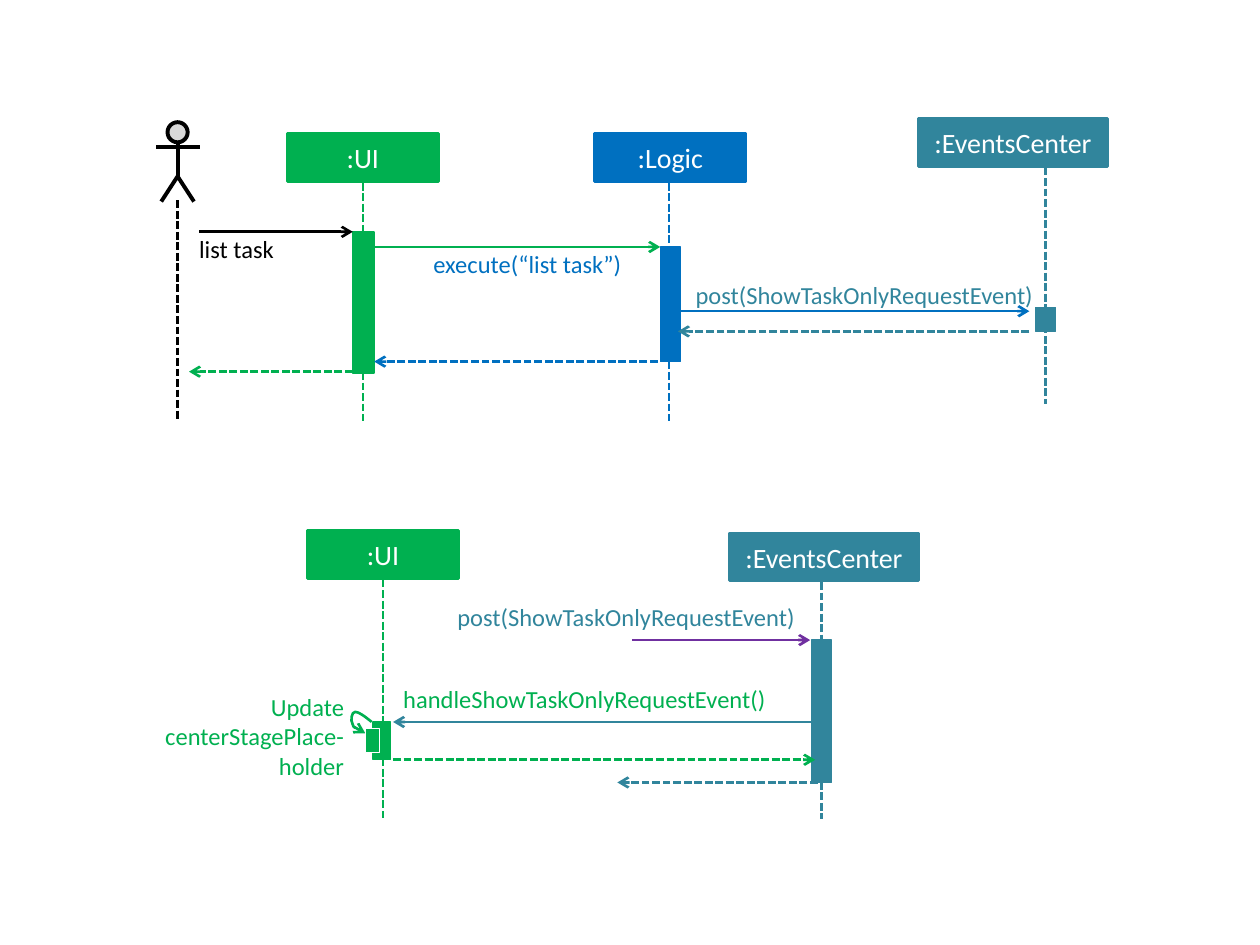
import pptx
import pptx.dml.color
import pptx.enum.dml
import pptx.enum.shapes
import pptx.enum.text
import pptx.oxml
import pptx.oxml.ns
import pptx.util
from pptx.util import Inches

GREEN, BLUE, TEAL, PURPLE = "00B050", "0070C0", "31859C", "7030A0"
BLACK, GREY, WHITE = "000000", "D9D9D9", "FFFFFF"
LEFT, CENTER, RIGHT = (pptx.enum.text.PP_ALIGN.LEFT, pptx.enum.text.PP_ALIGN.CENTER,
                       pptx.enum.text.PP_ALIGN.RIGHT)
RECT = pptx.enum.shapes.MSO_SHAPE.RECTANGLE
CIRCLE = pptx.enum.shapes.MSO_SHAPE.FLOWCHART_CONNECTOR
HEADER_HEIGHT = 0.38
DRAWING_NS = pptx.oxml.ns.nsdecls("a")


def rgb(color):
    return pptx.dml.color.RGBColor.from_string(color)


def style_line(line, color, width, dashed=False, arrow=False):
    line.color.rgb = rgb(color)
    line.width = pptx.util.Pt(width)
    if dashed:
        line.dash_style = pptx.enum.dml.MSO_LINE.SQUARE_DOT
    if arrow:
        tip = pptx.oxml.parse_xml(f'<a:tailEnd {DRAWING_NS} type="arrow"/>')
        line.fill  # the line properties exist once a colour is set
        line._get_or_add_ln().append(tip)


def write(frame, text, size=14, color=BLACK, align=LEFT):
    frame.word_wrap = True
    paragraph = frame.paragraphs[0]
    paragraph.alignment = align
    run = paragraph.add_run()
    run.text = text
    run.font.name = "Calibri"
    run.font.size = pptx.util.Pt(size)
    run.font.color.rgb = rgb(color)


def block(shapes, left, top, width, height, fill, border=None, weight=0.75, kind=RECT):
    shape = shapes.add_shape(kind, Inches(left), Inches(top), Inches(width), Inches(height))
    shape.shadow.inherit = False
    shape.fill.solid()
    shape.fill.fore_color.rgb = rgb(fill)
    style_line(shape.line, border or fill, weight)
    return shape


def stroke(shapes, x1, y1, x2, y2, color, width=1.5, dashed=False, arrow=False):
    connector = shapes.add_connector(pptx.enum.shapes.MSO_CONNECTOR.STRAIGHT,
                                     Inches(x1), Inches(y1), Inches(x2), Inches(y2))
    style_line(connector.line, color, width, dashed, arrow)
    connector._element.spPr.append(pptx.oxml.parse_xml(f"<a:effectLst {DRAWING_NS}/>"))


def outline(shapes, points, color, width, arrow=False):
    start, *rest = [(Inches(x), Inches(y)) for x, y in points]
    builder = shapes.build_freeform(*start)
    builder.add_line_segments(rest, close=False)
    shape = builder.convert_to_shape()
    shape.shadow.inherit = False
    shape.fill.background()
    style_line(shape.line, color, width, arrow=arrow)
    return shape


def curve(shapes, points, color, width):
    """Draw a start point and groups of three Bezier points, ending in an arrow."""
    shape = outline(shapes, points, color, width, arrow=True)
    segments = shape._element.findall(".//" + pptx.oxml.ns.qn("a:lnTo"))
    for first in range(0, len(segments), 3):
        bezier = pptx.oxml.parse_xml(f"<a:cubicBezTo {DRAWING_NS}/>")
        segments[first].addprevious(bezier)
        for segment in segments[first:first + 3]:
            bezier.append(segment[0])
            segment.getparent().remove(segment)


def message(shapes, x, y, start, tip, level, color, dashed=False):
    stroke(shapes, x + start, y + level, x + tip, y + level, color, dashed=dashed, arrow=True)


def label(shapes, left, top, width, text, color, height=0.24, align=LEFT):
    box = shapes.add_textbox(Inches(left), Inches(top), Inches(width), Inches(height))
    frame = box.text_frame
    frame.margin_left = frame.margin_right = frame.margin_top = frame.margin_bottom = 0
    write(frame, text, color=color, align=align)
    frame.auto_size = pptx.enum.text.MSO_AUTO_SIZE.SHAPE_TO_FIT_TEXT


def participant(shapes, x, y, name, color, header, lifeline, activation):
    """Header (left, top, width), lifeline (x, bottom) and activation bar."""
    left, top, width = header
    head = block(shapes, x + left, y + top, width, HEADER_HEIGHT, color, weight=1.5)
    head.text_frame.vertical_anchor = pptx.enum.text.MSO_ANCHOR.MIDDLE
    write(head.text_frame, name, size=16, color=WHITE, align=CENTER)
    life_x, bottom = lifeline
    stroke(shapes, x + life_x, y + top + HEADER_HEIGHT + 0.01, x + life_x, y + bottom,
           color, dashed=True)
    bar_left, bar_top, bar_width, bar_height = activation
    block(shapes, x + bar_left, y + bar_top, bar_width, bar_height, color)


def actor(shapes, x, y, bottom):
    figure = shapes.add_group_shape().shapes
    middle = x + 0.17
    block(figure, x + 0.09, y + 0.03, 0.16, 0.16, GREY, BLACK, 2.25, CIRCLE)
    stroke(figure, middle, y + 0.19, middle, y + 0.47, BLACK, 2.25)
    legs = [(x + 0.04, y + 0.66), (middle, y + 0.46), (x + 0.3, y + 0.66)]
    outline(figure, legs, BLACK, 2.25)
    stroke(figure, x, y + 0.23, x + 0.35, y + 0.23, BLACK, 2.25)
    stroke(shapes, middle, y + 0.65, middle, y + bottom, BLACK, dashed=True)


def request_sequence(shapes, x, y):
    # Participants
    actor(shapes, x, y, 2.4)
    participant(shapes, x, y, ":UI", GREEN, (1.04, 0.12, 1.2), (1.64, 2.4),
                (1.56, 0.9, 0.17, 1.12))
    participant(shapes, x, y, ":Logic", BLUE, (3.48, 0.12, 1.2), (4.07, 2.4),
                (4, 1.02, 0.16, 0.91))
    participant(shapes, x, y, ":EventsCenter", TEAL, (6.05, 0, 1.5), (7.06, 2.27),
                (6.98, 1.5, 0.16, 0.19))
    # Calls and returns
    for start, tip, level, color, dashed in [
            (0.34, 1.56, 0.9, BLACK, False), (1.73, 4, 1.02, GREEN, False),
            (4.14, 6.93, 1.53, BLUE, False), (6.93, 4.14, 1.69, TEAL, True),
            (3.98, 1.73, 1.93, BLUE, True), (1.56, 0.26, 2.01, GREEN, True)]:
        message(shapes, x, y, start, tip, level, color, dashed)
    # Message names
    for left, top, width, text, color in [
            (0.34, 0.92, 0.94, "list task", BLACK),
            (2.2, 1.04, 1.56, "execute(“list task”)", BLUE),
            (4.28, 1.28, 2.78, "post(ShowTaskOnlyRequestEvent)", TEAL)]:
        label(shapes, x + left, y + top, width, text, color)


def event_sequence(shapes, x, y):
    # Participants
    participant(shapes, x, y, ":EventsCenter", TEAL, (4.55, 0.02, 1.5), (5.28, 2.29),
                (5.2, 0.87, 0.16, 1.13))
    participant(shapes, x, y, ":UI", GREEN, (1.2, 0, 1.2), (1.8, 2.28),
                (1.72, 1.52, 0.14, 0.3))
    # Calls and returns
    for start, tip, level, color, dashed in [
            (3.78, 5.19, 0.87, PURPLE, False), (5.23, 1.88, 1.52, TEAL, False),
            (1.88, 5.23, 1.82, GREEN, True), (5.25, 3.66, 2, TEAL, True)]:
        message(shapes, x, y, start, tip, level, color, dashed)
    # Self call on the UI
    self_call = shapes.add_group_shape().shapes
    loop = [(1.71, 1.52), (1.66, 1.48), (1.61, 1.44), (1.58, 1.44), (1.55, 1.44),
            (1.54, 1.51), (1.56, 1.54), (1.57, 1.57), (1.62, 1.59), (1.66, 1.61)]
    curve(self_call, [(x + dx, y + dy) for dx, dy in loop], GREEN, 1.5)
    block(self_call, x + 1.66, y + 1.57, 0.11, 0.19, GREEN, WHITE)
    # Message names
    label(shapes, x + 2.39, y + 0.57, 2.97, "post(ShowTaskOnlyRequestEvent)", TEAL)
    label(shapes, x + 1.96, y + 1.22, 2.91, "handleShowTaskOnlyRequestEvent()", GREEN)
    label(shapes, x, y + 1.28, 1.49, "Update centerStagePlace-holder", GREEN,
          height=0.71, align=RIGHT)


def main():
    deck = pptx.Presentation()
    deck.slide_width, deck.slide_height = Inches(10), Inches(7.5)
    slide = deck.slides.add_slide(deck.slide_layouts[6])
    request_sequence(slide.shapes, 1.24, 0.94)
    event_sequence(slide.shapes, 1.24, 4.21)
    deck.save("out.pptx")


if __name__ == "__main__":
    main()
